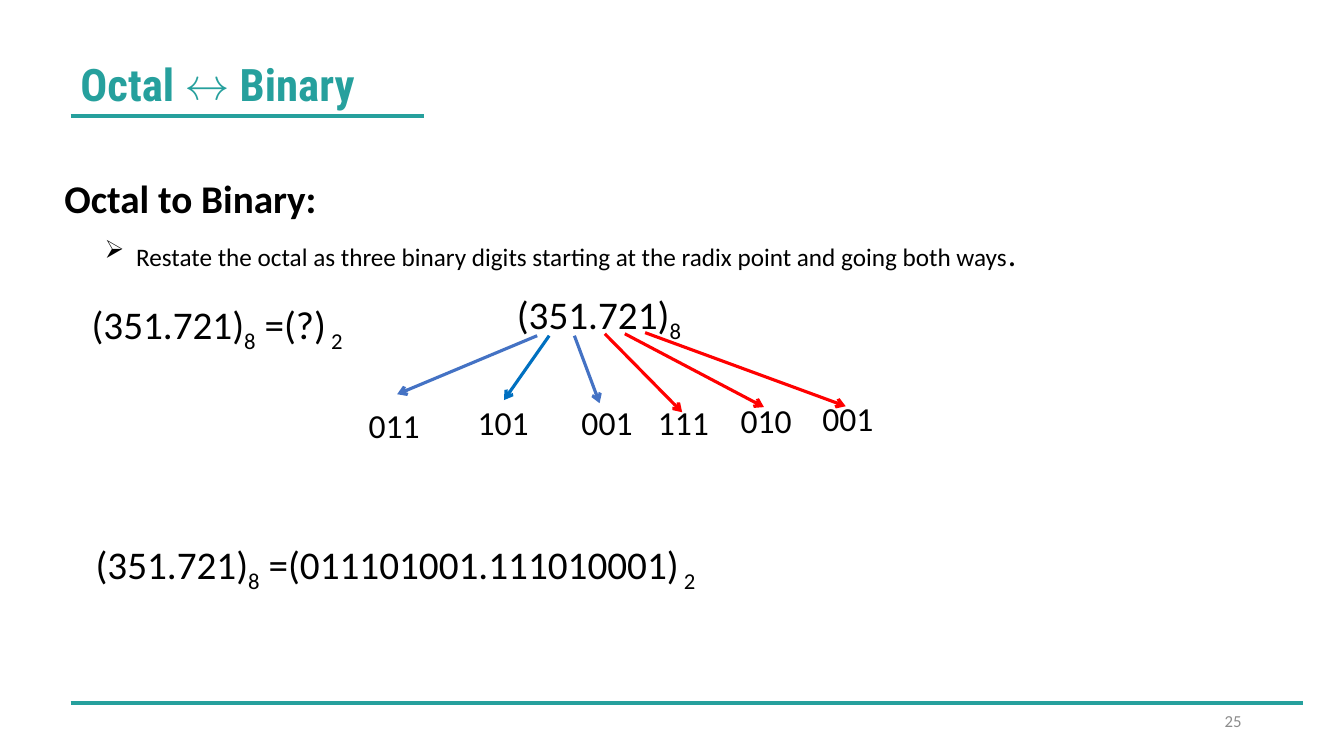
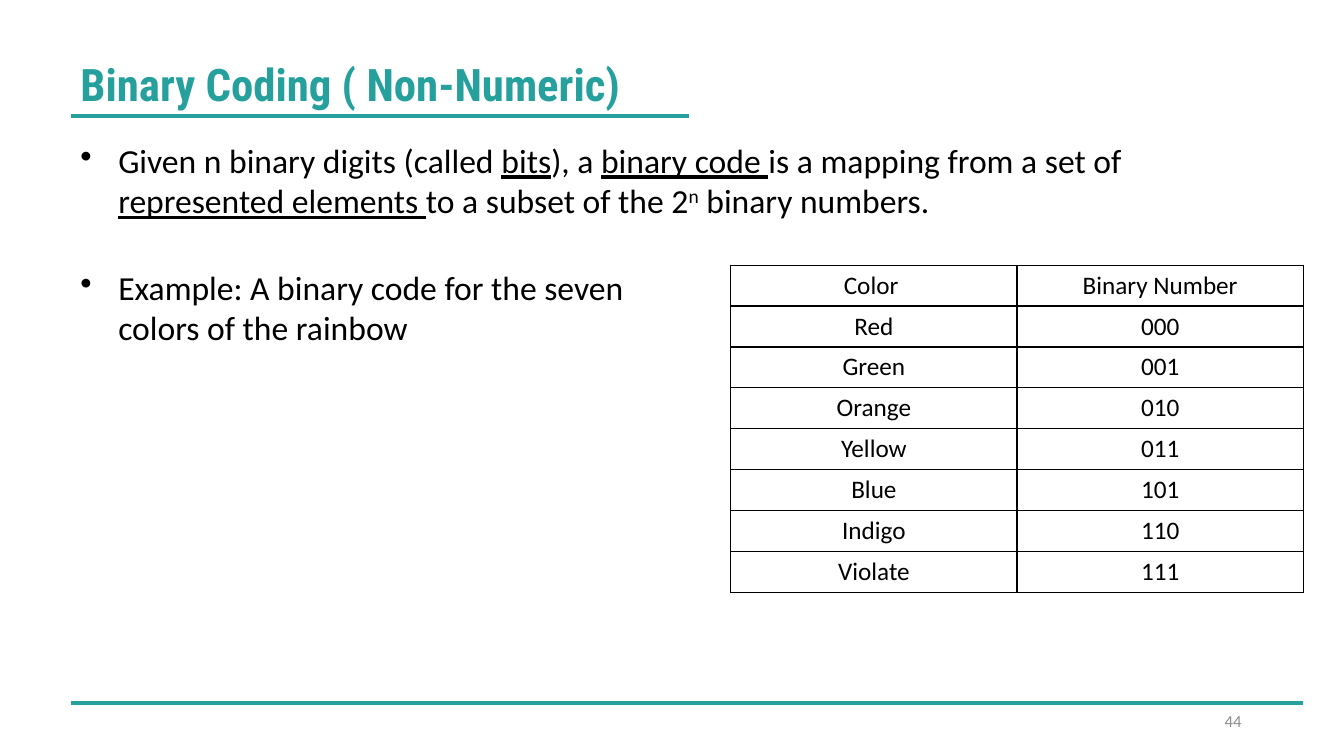
from dataclasses import dataclass

from lxml.etree import SubElement
from pptx import Presentation
from pptx.dml.color import RGBColor as RGB
from pptx.enum.shapes import MSO_CONNECTOR as CONN
from pptx.enum.text import MSO_ANCHOR as ANCHOR, PP_ALIGN as ALIGN
from pptx.oxml.ns import qn
from pptx.util import Pt


@dataclass(frozen=True)
class Theme:
    teal: str = "26A09D"
    ink: str = "000000"
    gray: str = "8C8C8C"
    blue: str = "4472C4"
    bright_blue: str = "0070C0"
    red: str = "FF0000"
    body_font: str = "Calibri"
    title_font: str = "Roboto Condensed"
    title: int = 32
    head: int = 28
    body: int = 24
    small: int = 18
    number: int = 12
    rule: float = 3
    arrow: float = 2.25
    border: float = 1


T = Theme()
PAGE = (0, 0, 960, 540)
MARGIN, RIGHT = 50.4, 931
SUB, SUP = {"base": -25}, {"base": 30}
UNDER = {"underline": True}


# Helpers
def fill_text(tf, runs, size=T.body, font=T.body_font, color=T.ink, bold=False,
              align=ALIGN.LEFT, bullet=None, indent=0):
    """Write one paragraph; each run is a string or (string, format)."""
    p = tf.paragraphs[0]
    p.alignment = align
    if bullet:
        pPr = p._p.get_or_add_pPr()
        pPr.set("marL", str(Pt(indent)))
        pPr.set("indent", str(-Pt(indent)))
        SubElement(pPr, qn("a:buChar")).set("char", bullet)
    for run in [runs] if isinstance(runs, str) else runs:
        words, fmt = (run, {}) if isinstance(run, str) else run
        r = p.add_run()
        r.text = words
        r.font.name, r.font.bold = font, bold
        r.font.size = Pt(fmt.get("size", size))
        r.font.color.rgb = RGB.from_string(color)
        if "underline" in fmt:
            r.font.underline = fmt["underline"]
        if "base" in fmt:
            r._r.get_or_add_rPr().set("baseline", str(fmt["base"] * 1000))


def add_text(s, box, runs, anchor=ANCHOR.TOP, **fmt):
    tf = s.shapes.add_textbox(*map(Pt, box)).text_frame
    tf.word_wrap = True
    tf.vertical_anchor = anchor
    fill_text(tf, runs, **fmt)


def add_line(s, start, end, color=T.teal, width=T.rule, arrow=False):
    line = s.shapes.add_connector(CONN.STRAIGHT, *map(Pt, (*start, *end)))
    line.line.color.rgb = RGB.from_string(color)
    line.line.width = Pt(width)
    if arrow:
        SubElement(line.line._get_or_add_ln(), qn("a:tailEnd")).set("type", "arrow")
    SubElement(line._element.spPr, qn("a:effectLst"))


def add_borders(cell):
    tcPr = cell._tc.get_or_add_tcPr()
    for side in ("lnL", "lnR", "lnT", "lnB"):
        ln = SubElement(tcPr, qn(f"a:{side}"), w=str(Pt(T.border)))
        fill = SubElement(ln, qn("a:solidFill"))
        SubElement(fill, qn("a:srgbClr")).set("val", T.ink)


# Regions
def frame(s, box, title, rule_end, number):
    """Title with its rule, footer rule and slide number."""
    x, y, w, h = box
    add_text(s, (x + MARGIN, y + 36.7, 542, 46), title, size=T.title,
             font=T.title_font, color=T.teal, bold=True)
    for end, drop in ((rule_end, 82.8), (RIGHT, h - 38)):
        add_line(s, (x + MARGIN, y + drop), (x + end, y + drop))
    add_text(s, (x + w - 282, y + h - 39.6, 216, 28.8), str(number),
             anchor=ANCHOR.MIDDLE, size=T.number, color=T.gray, align=ALIGN.RIGHT)


def expansion(s, box):
    """Octal number with an arrow from each digit to its three bits."""
    x, y, w, h = box
    add_text(s, (x + 105.8, y, 137.5, 41), ["(351.721)", ("8", SUB)], size=T.head)
    # bits, label left and top, arrow start, arrow tip, colour
    digits = [
        ("011", (0, 82), (127.4, 36), (27.4, 77.8), T.blue),
        ("101", (77.8, 80), (136, 36), (103.7, 82), T.bright_blue),
        ("001", (152, 80), (154, 36), (172, 84.2), T.blue),
        ("111", (206.6, 80), (175.7, 34.6), (231, 90.7), T.red),
        ("010", (265.7, 78.5), (190, 34.6), (289.4, 87), T.red),
        ("001", (324, 77), (204.5, 33.8), (347.8, 86.4), T.red),
    ]
    for bits, (left, top), start, tip, color in digits:
        add_text(s, (x + left, y + top, 54.7, 36), bits)
        ends = [(x + dx, y + dy) for dx, dy in (start, tip)]
        add_line(s, *ends, color=color, width=T.arrow, arrow=True)


def code_table(s, box, rows):
    table = s.shapes.add_table(len(rows), len(rows[0]), *map(Pt, box)).table
    table.first_row = table.horz_banding = False
    for row in table.rows:
        row.height = Pt(box[3] / len(rows))
    for i, row in enumerate(rows):
        for j, words in enumerate(row):
            cell = table.cell(i, j)
            add_borders(cell)
            cell.fill.background()
            fill_text(cell.text_frame, words, size=T.small, align=ALIGN.CENTER)


# Slides
def octal_slide(s, box):
    x, y, w, h = box
    frame(s, box, "Octal ↔ Binary", 303, 25)
    add_text(s, (x + 38.9, y + 121, 201.6, 41), "Octal to Binary:",
             size=T.head, bold=True)
    add_text(s, (x + 67.7, y + 162.7, 853, 36),
             ["Restate the octal as three binary digits starting at the radix point "
              "and going both ways", (".", {"size": T.body})],
             size=T.small, bullet="➢", indent=22.5)
    for left, top, width, value in ((58.3, 211, 229, "?"),
                                    (61.2, 382.3, 473, "011101001.111010001")):
        add_text(s, (x + left, y + top, width, 41),
                 ["(351.721)", ("8", SUB), f" =({value})", (" 2", SUB)], size=T.head)
    expansion(s, (x + 256.3, y + 203.8, 378.7, 113))


def coding_slide(s, box):
    x, y, w, h = box
    frame(s, box, "Binary Coding ( Non-Numeric)", 492, 44)
    code_table(s, (x + 522, y + 189.4, 409, 233.6), [
        ("Color ", "Binary Number"),
        ("Red", "000"),
        ("Green", "001"),
        ("Orange", "010"),
        ("Yellow", "011"),
        ("Blue", "101"),
        ("Indigo", "110"),
        ("Violate", "111"),
    ])
    definition = ["Given n binary digits (called ", ("bits", UNDER), "), a ",
                  ("binary code ", UNDER), "is a mapping from a set of ",
                  ("represented elements ", UNDER), "to a subset of the 2",
                  ("n", SUP), " binary numbers."]
    example = "Example: A binary code for the seven colors of the rainbow"
    for top, width, runs in ((96.5, 880.6, definition), (187.2, 455, example)):
        add_text(s, (x + MARGIN, y + top, width, 65.5), runs, bullet="•", indent=27)


def main():
    prs = Presentation()
    prs.slide_width, prs.slide_height = map(Pt, PAGE[2:])
    for build in (octal_slide, coding_slide):
        build(prs.slides.add_slide(prs.slide_layouts[6]), PAGE)
    prs.save("out.pptx")


if __name__ == "__main__":
    main()
